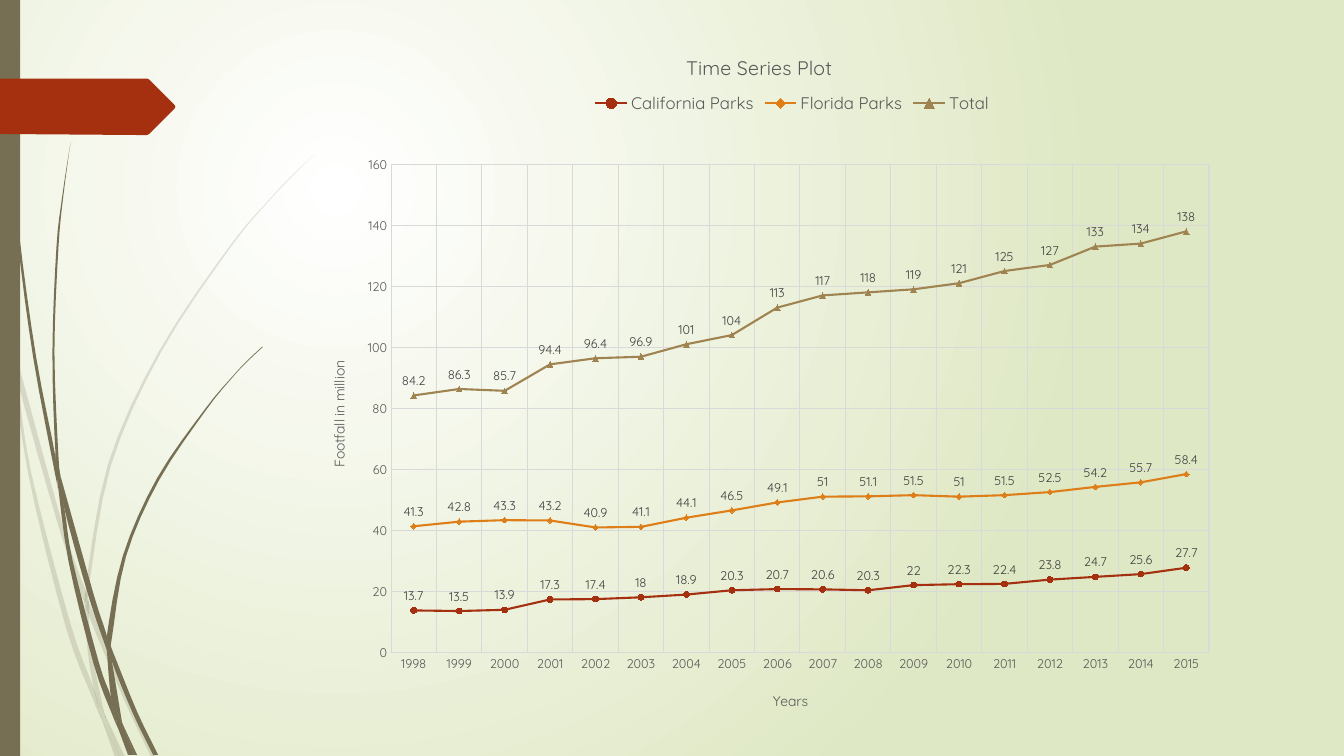
from lxml.etree import SubElement
from pptx import Presentation
from pptx.chart.data import CategoryChartData
from pptx.dml.color import RGBColor
from pptx.enum.chart import (XL_CHART_TYPE, XL_LABEL_POSITION, XL_LEGEND_POSITION,
                             XL_MARKER_STYLE, XL_TICK_MARK)
from pptx.enum.shapes import MSO_SHAPE
from pptx.oxml.ns import qn
from pptx.util import Inches, Pt

FONT = "Quicksand"
BROWN, RED, GRID, GREY = "766F54", "A53010", "D9D9D9", "595959"

# Each piece of grass is its two edges, as "x,y" points in inches.
PALE = [
    ("0,2.82 .09,3.22 .11,3.5", "0,2.99 .1,3.44 .11,3.5"),
    (".14,3.45 .62,5.2 .85,5.86", ".14,3.45 .17,3.76 .58,5.22 .84,5.99"),
    (".88,5.96 .92,6.07 1.27,6.92 1.55,7.51", ".88,5.96 .88,6.1 1.23,6.94 1.5,7.51"),
    ("1.05,7.11 1.24,7.51", "1.05,7.11 1.19,7.51"),
    (".11,3.5 .17,3.76 .31,4.69 .7,6.19 .93,6.83 .99,7.07 1.01,7.14",
     ".11,3.5 .28,4.7 .65,6.21 .92,6.93 1.01,7.14"),
    (".84,5.99 .88,6.08 .88,6.1 .91,6.46 1.03,7.06 1.05,7.11",
     ".84,5.99 .87,6.46 .93,6.83 .96,6.92 1.05,7.11"),
    ("3.12,1.53 2.9,1.75 2.68,1.98 2.29,2.45 1.6,3.49 1.1,4.62 .88,5.84 .88,5.96",
     "3.12,1.53 2.89,1.75 2.68,1.97 2.28,2.44 1.58,3.48 1.07,4.61 .85,5.84 .88,5.96"),
    ("1.01,7.14 1.19,7.51", "1.01,7.14 1.14,7.51"),
    (".85,5.86 .88,5.96 .88,6.1", ".85,5.86 .84,5.99 .88,6.08"),
    (".93,6.83 .96,6.92 1.05,7.11 1.19,7.51", ".93,6.83 .99,7.07 1.01,7.14 1.19,7.51"),
]
DARK = [
    (".04,0 .05,.48 .08,1.09 .19,2.32 .36,3.55 .55,4.53 .57,4.81",
     ".03,0 .04,.48 .07,1.1 .17,2.33 .33,3.55 .56,4.77 .57,4.81"),
    (".6,4.72 .93,5.9 1.06,6.31 1.06,6.45", ".6,4.72 .64,5.05 .88,5.92 1.06,6.45"),
    ("1.1,6.41 1.13,6.49 1.36,7.06 1.57,7.49", "1.1,6.41 1.11,6.56 1.32,7.08 1.52,7.49"),
    (".57,4.77 .64,5.05 .72,5.56 .98,6.57 1.1,6.91 1.16,7.17 1.17,7.22",
     ".57,4.77 .68,5.57 .93,6.59 1.11,7.08 1.17,7.22"),
    (".7,1.41 .63,1.93 .58,2.45 .54,3.49 .58,4.53 .6,4.72",
     ".7,1.41 .62,1.93 .56,2.45 .52,3.49 .55,4.49 .6,4.72"),
    ("1.22,7.19 1.36,7.49", "1.22,7.19 1.33,7.49"),
    (".55,4.49 .6,4.72 .64,5.05", ".55,4.49 .55,4.53 .57,4.77 .64,5.05"),
    ("2.61,3.44 2.45,3.59 2.31,3.74 2.05,4.06 1.58,4.76 1.25,5.52 1.11,6.33 1.1,6.41",
     "2.6,3.44 2.45,3.58 2.31,3.73 2.04,4.05 1.56,4.74 1.22,5.51 1.06,6.31 1.1,6.41"),
    ("1.17,7.22 1.31,7.49", "1.17,7.22 1.27,7.49"),
    ("1.06,6.45 1.09,6.51 1.11,6.56 1.21,7.16 1.22,7.19",
     "1.06,6.45 1.1,6.91 1.16,7.06 1.22,7.19"),
    ("1.06,6.31 1.1,6.41 1.11,6.56", "1.06,6.31 1.06,6.45 1.09,6.51 1.11,6.56"),
    ("1.1,6.91 1.16,7.06 1.22,7.19 1.33,7.49", "1.1,6.91 1.16,7.17 1.17,7.22 1.3,7.49"),
]
TAG = "0,.78 1.46,.78 1.48,.79 1.73,1.04 1.74,1.06 1.73,1.08 1.48,1.33 1.46,1.34 1.36,1.34 0,1.33"

YEARS = [str(year) for year in range(1998, 2016)]
SERIES = [
    ("California Parks", RED, XL_MARKER_STYLE.CIRCLE,
     [13.7, 13.5, 13.9, 17.3, 17.4, 18, 18.9, 20.3, 20.7, 20.6, 20.3, 22, 22.3, 22.4,
      23.8, 24.7, 25.6, 27.7]),
    ("Florida Parks", "DE7E18", XL_MARKER_STYLE.DIAMOND,
     [41.3, 42.8, 43.3, 43.2, 40.9, 41.1, 44.1, 46.5, 49.1, 51, 51.1, 51.5, 51, 51.5,
      52.5, 54.2, 55.7, 58.4]),
    ("Total", "9F8351", XL_MARKER_STYLE.TRIANGLE,
     [84.2, 86.3, 85.7, 94.4, 96.4, 96.9, 101, 104, 113, 117, 118, 119, 121, 125, 127,
      133, 134, 138]),
]


def tint(part, color):
    part.solid()
    part.fore_color.rgb = RGBColor.from_string(color)


def style(font, size, color=GREY):
    for name, value in {"name": FONT, "size": Pt(size), "bold": False}.items():
        setattr(font, name, value)
    font.color.rgb = RGBColor.from_string(color)


def rule(line, color, width):
    tint(line.fill, color)
    line.width = Pt(width)


def points(text):
    return [tuple(map(float, pair.split(","))) for pair in text.split()]


def smooth(dots, steps=4):
    """Return a Catmull-Rom curve through the dots."""
    ends = [dots[0], *dots, dots[-1]]
    curve = [dots[0]]
    for a, b, c, d in zip(ends, ends[1:], ends[2:], ends[3:]):
        for step in range(1, steps + 1):
            t = step / steps
            curve.append(tuple(
                q + t / 2 * (r - p + t * (2 * p - 5 * q + 4 * r - s + t * (3 * (q - r) + s - p)))
                for p, q, r, s in zip(a, b, c, d)))
    return curve


def finish(shape, color, alpha=100):
    shape.shadow.inherit = False
    tint(shape.fill, color)
    shape.line.fill.background()
    if alpha < 100:
        tone = shape.element.spPr.find(".//" + qn("a:srgbClr"))
        SubElement(tone, qn("a:alpha"), val=str(alpha * 1000))


def outline(slide, dots, box, color, alpha=100):
    left, top = box
    spots = [(Inches(left + x), Inches(top + y)) for x, y in dots]
    pen = slide.shapes.build_freeform(*spots[0])
    pen.add_line_segments(spots[1:], close=True)
    finish(pen.convert_to_shape(), color, alpha)


def grass(slide, pieces, box, alpha=100):
    for right, left in pieces:
        dots = smooth(points(right)) + smooth(points(left))[::-1]
        outline(slide, dots, box, BROWN, alpha)


def backdrop(slide):
    fill = slide.background.fill
    fill.gradient()
    for stop, color in zip(fill.gradient_stops, ("FFFFFF", "DFE8C4")):
        stop.color.rgb = RGBColor.from_string(color)
    grad = slide.element.find(".//" + qn("a:gradFill"))
    grad.remove(grad.find(qn("a:lin")))
    glow = SubElement(grad, qn("a:path"), path="circle")
    SubElement(glow, qn("a:fillToRect"), l="50000", t="50000", r="100000", b="100000")


def side(slide, box):
    left, top, width, height = box
    grass(slide, PALE, (left, top), 20)
    grass(slide, DARK, (left, top))
    bar = slide.shapes.add_shape(MSO_SHAPE.RECTANGLE, *map(Inches, (left, top, width, height)))
    finish(bar, BROWN)
    outline(slide, points(TAG), (left, top), RED)


def place(part, inner=False, **spots):
    """Fix a chart part at fractions of the chart area."""
    layout = part.find(qn("c:layout"))
    if layout is None:
        layout = part.makeelement(qn("c:layout"))
        cover = part.find(qn("c:overlay"))
        part.insert(0 if cover is None else part.index(cover), layout)
    manual = SubElement(layout, qn("c:manualLayout"))
    if inner:
        SubElement(manual, qn("c:layoutTarget"), val="inner")
    for key in "xy":
        SubElement(manual, qn(f"c:{key}Mode"), val="edge")
    for key, value in spots.items():
        SubElement(manual, qn(f"c:{key}"), val=str(value))


def name(holder, text, size):
    holder.text_frame.text = text
    style(holder.text_frame.paragraphs[0].runs[0].font, size)


def plot(slide, box):
    data = CategoryChartData()
    data.categories = YEARS
    for label, _, _, values in SERIES:
        data.add_series(label, values)
    chart = slide.shapes.add_chart(XL_CHART_TYPE.LINE_MARKERS, *map(Inches, box), data).chart
    style(chart.font, 10, "000000")
    name(chart.chart_title, "Time Series Plot", 14)
    chart.has_legend = True
    chart.legend.position = XL_LEGEND_POSITION.TOP
    chart.legend.include_in_layout = False
    style(chart.legend.font, 12)
    chart.plots[0].vary_by_categories = False

    axes = {"Years": chart.category_axis, "Footfall in million": chart.value_axis}
    for title, axis in axes.items():
        name(axis.axis_title, title, 10)
        axis.major_tick_mark = axis.minor_tick_mark = XL_TICK_MARK.NONE
        axis.has_major_gridlines = True
        rule(axis.major_gridlines.format.line, GRID, 0.75)
        style(axis.tick_labels.font, 9)
    rule(chart.category_axis.format.line, GRID, 0.75)
    chart.value_axis.format.line.fill.background()
    for key, value in {"minimum_scale": 0, "maximum_scale": 160, "major_unit": 20}.items():
        setattr(chart.value_axis, key, value)

    for series, (_, color, mark, _) in zip(chart.plots[0].series, SERIES):
        series.smooth = False
        rule(series.format.line, color, 1.5)
        series.marker.style, series.marker.size = mark, 4
        tint(series.marker.format.fill, color)
        rule(series.marker.format.line, color, 0.75)
        series.data_labels.show_value = True
        series.data_labels.position = XL_LABEL_POSITION.ABOVE
        style(series.data_labels.font, 9, "404040")

    root = chart.element
    place(root.find(".//" + qn("c:plotArea")), True, x=0.126, y=0.195, w=0.839, h=0.679)
    place(root.find(".//" + qn("c:legend")), x=0.33, y=0.09)
    heads = list(root.iter(qn("c:title")))
    for head, (x, y) in zip(heads, [(0.425, 0.035), (0.515, 0.925), (0.06, 0.465)]):
        place(head, x=x, y=y)
    heads[-1].find(".//" + qn("a:bodyPr")).set("rot", "-5400000")


def main():
    deck = Presentation()
    deck.slide_width, deck.slide_height = Inches(13.33), Inches(7.5)
    slide = deck.slides.add_slide(deck.slide_layouts[6])
    backdrop(slide)
    side(slide, (0, 0, 0.2, 7.5))
    plot(slide, (2.66, 0.24, 9.67, 7.13))
    deck.save("out.pptx")


if __name__ == "__main__":
    main()
